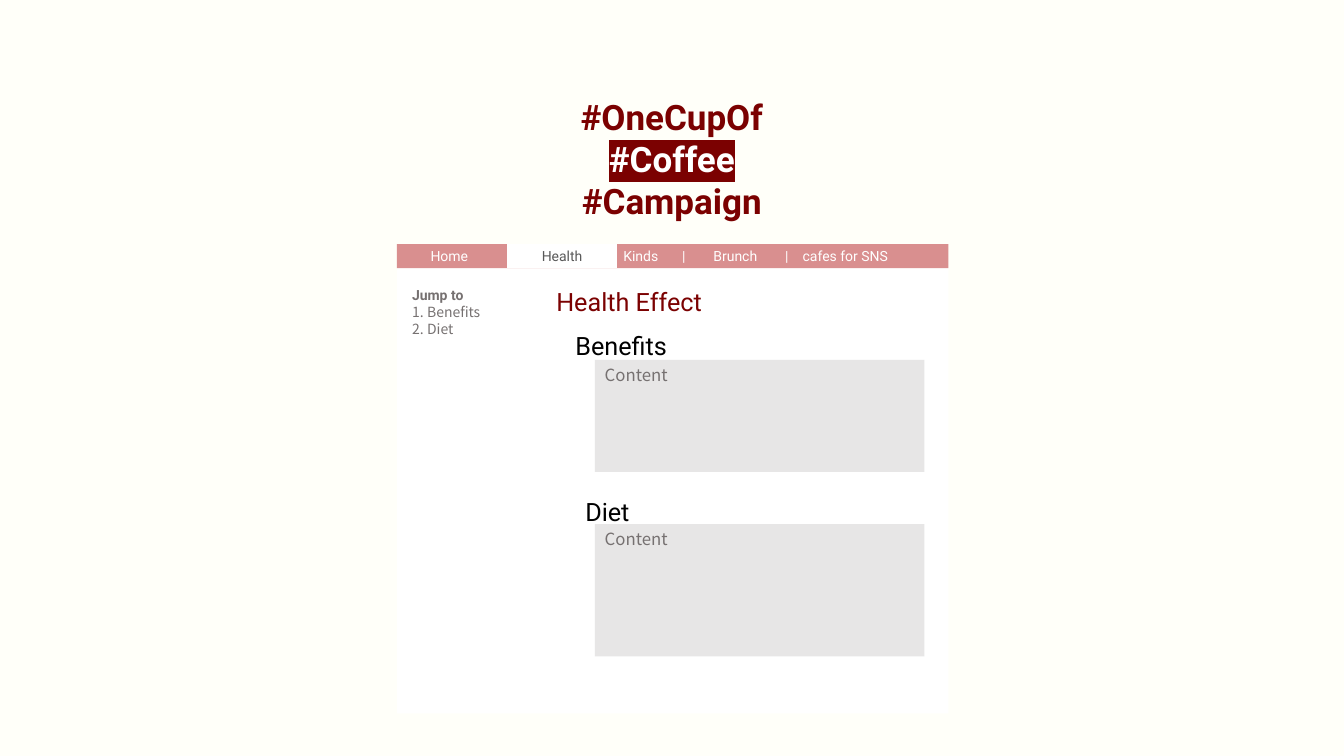
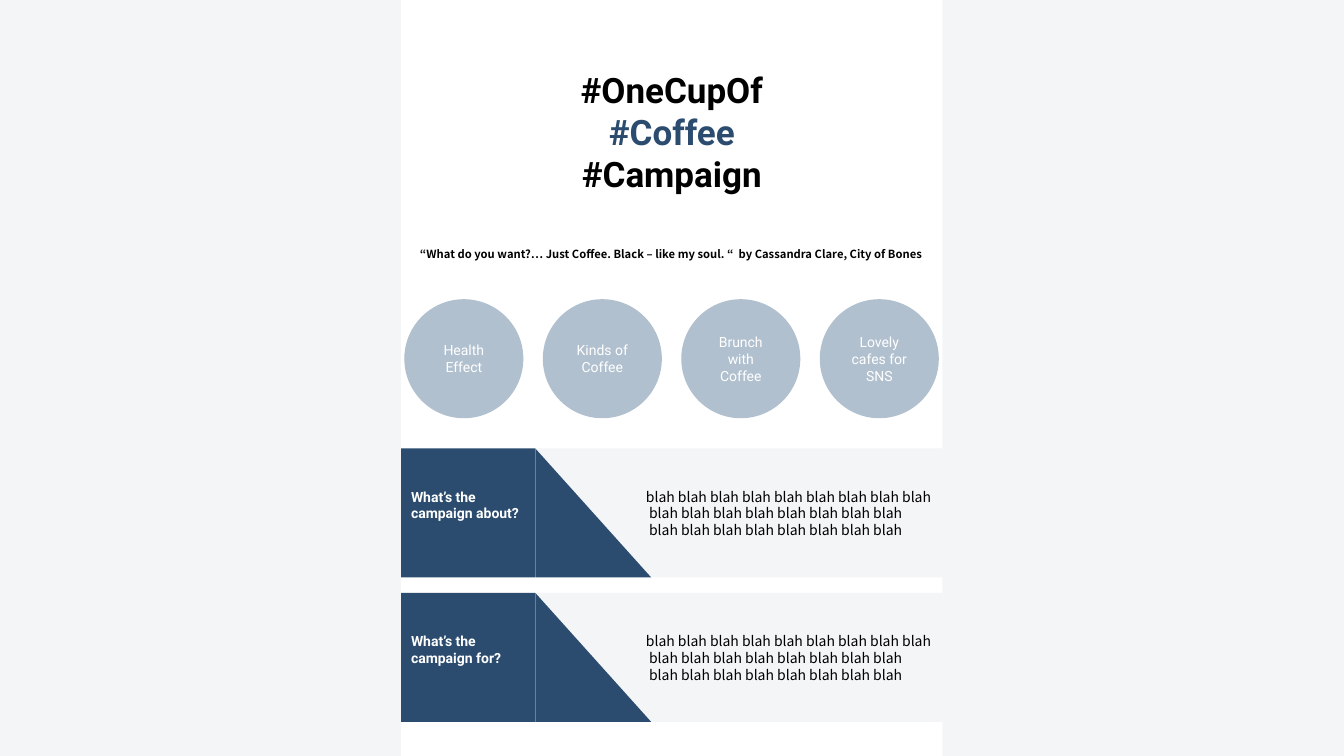
from dataclasses import dataclass
from lxml import etree
from pptx import Presentation
from pptx.dml.color import RGBColor
from pptx.enum import shapes, text
from pptx.oxml.ns import qn
from pptx.util import Cm, Pt


@dataclass(frozen=True)
class Theme:
    cream: str = "FFFFF9"
    white: str = "FFFFFF"
    black: str = "000000"
    wine: str = "7B0101"
    rose: str = "D98F8F"
    ash: str = "E7E6E6"
    grey: str = "767171"
    dark: str = "595959"
    mist: str = "F4F5F6"
    navy: str = "2B4C6F"
    steel: str = "B1C0CF"
    sans: str = "Roboto"
    body: str = "Noto Sans CJK KR"
    big: float = 25
    head: float = 18
    mid: float = 12
    text: float = 10
    tiny: float = 8


T = Theme()
KIND = shapes.MSO_SHAPE
RECT = KIND.RECTANGLE
LEFT, MID = text.PP_ALIGN.LEFT, text.PP_ALIGN.CENTER
TOP, CORE = text.MSO_ANCHOR.TOP, text.MSO_ANCHOR.MIDDLE
rgb = RGBColor.from_string
TITLE = dict(name=T.sans, size=Pt(T.big), bold=True)
HEAD = dict(name=T.sans, size=Pt(T.head), bold=False)
LABEL = dict(name=T.sans, size=Pt(T.text), bold=False)
STRONG = dict(LABEL, bold=True)
PLAIN = dict(name=T.body, size=Pt(T.text), bold=False)
NOTE = dict(PLAIN, size=Pt(T.mid))
QUOTE = dict(PLAIN, size=Pt(T.tiny), bold=True)


def write(shape, words, look, hue, align=LEFT, anchor=TOP, **frame):
    tf = shape.text_frame
    tf.text = words
    base = dict(word_wrap=True, auto_size=text.MSO_AUTO_SIZE.NONE, vertical_anchor=anchor)
    for key, val in (base | frame).items():
        setattr(tf, key, val)
    for par in tf.paragraphs:
        par.alignment = align
        par.space_before = Pt(0)
        for run in par.runs:
            for key, val in look.items():
                setattr(run.font, key, val)
            run.font.color.rgb = rgb(hue)
    return tf.paragraphs


def put(slide, box, fill=None, kind=RECT):
    place = [Cm(n) for n in box]
    if fill is None:
        return slide.shapes.add_textbox(*place)
    shape = slide.shapes.add_shape(kind, *place)
    shape.shadow.inherit = False
    shape.fill.solid()
    shape.fill.fore_color.rgb = rgb(fill)
    shape.line.fill.background()
    return shape


deck = Presentation()
deck.slide_width, deck.slide_height = Cm(33.87), Cm(19.05)

pages = []
for lay, back, panel, top, hue, accent in (
    (1, T.cream, (10, 6.55, 13.9, 11.43), 2.29, T.wine, T.white),
    (5, T.mist, (10.11, 0, 13.64, 19.05), 1.6, T.black, T.navy),
):
    page = deck.slides.add_slide(deck.slide_layouts[lay])
    page.background.fill.solid()
    page.background.fill.fore_color.rgb = rgb(back)
    put(page, panel, T.white)
    title = page.shapes.title
    page.shapes.element.append(title.element)
    for key, val in dict(left=10.39, top=top, width=13.08, height=3.45).items():
        setattr(title, key, Cm(val))
    lines = write(title, "#OneCupOf\n#Coffee\n#Campaign", TITLE, hue, MID)
    lines[1].runs[0].font.color.rgb = rgb(accent)
    pages.append(page)

health, home = pages

mark = etree.Element(qn("a:highlight"))
etree.SubElement(mark, qn("a:srgbClr"), val=T.wine)
health.shapes.title.element.xpath(".//a:rPr/a:solidFill")[1].addnext(mark)

bar = put(health, (10, 6.15, 13.9, 0.61), T.rose)
menu = "\tHome\tKinds\t|\tBrunch\t|\tcafes for SNS"
row = write(bar, menu, LABEL, T.white, anchor=CORE)[0]
tabs = etree.SubElement(row.alignment and bar.element.xpath(".//a:pPr")[0], qn("a:tabLst"))
for stop in (0.6, 5.46, 6.94, 7.73, 9.54, 9.98):
    etree.SubElement(tabs, qn("a:tab"), pos=str(Cm(stop)), algn="l")
tab = put(health, (12.78, 6.15, 2.77, 0.61), T.white)
write(tab, "Health", LABEL, T.dark, MID, CORE)

for words, x, y, hue in (
    ("Health Effect", 13.77, 7.09, T.wine),
    ("Benefits", 14.25, 8.2, T.black),
    ("Diet", 14.5, 12.37, T.black),
):
    write(put(health, (x, y, 4.62, 1.02)), words, HEAD, hue)
for y, tall in ((9.07, 2.82), (13.21, 3.33)):
    write(put(health, (14.99, y, 8.31, tall), T.ash), "Content", NOTE, T.grey)

jump = health.placeholders[1]
health.shapes.element.append(jump.element)
for key, val in dict(left=10.13, top=7.09, width=3.07, height=1.55).items():
    setattr(jump, key, Cm(val))
first = write(jump, "Jump to\nBenefits\nDiet", PLAIN, T.grey)[0]
for key, val in STRONG.items():
    setattr(first.runs[0].font, key, val)
for i, prop in enumerate(jump.element.xpath(".//a:pPr")):
    pad = Cm(0.38) if i else 0
    prop.set("marL", str(pad))
    prop.set("indent", str(-pad))
    if i:
        etree.SubElement(prop, qn("a:buFont"), typeface=T.body)
        etree.SubElement(prop, qn("a:buAutoNum"), type="arabicPeriod")
    else:
        etree.SubElement(prop, qn("a:buNone"))

quote = "“What do you want?… Just Coffee. Black – like my soul. “  by Cassandra Clare, City of Bones"
write(put(home, (10.29, 6.1, 13.26, 0.61)), quote, QUOTE, T.black, MID, word_wrap=False)

topics = "Health Effect", "Kinds of Coffee", "Brunch with Coffee", "Lovely cafes for SNS"
for i, words in enumerate(topics):
    disc = put(home, (10.19 + 3.49 * i, 7.54, 3, 3), T.steel, KIND.OVAL)
    write(disc, words, LABEL, T.white, MID, CORE)

blah = "\n ".join(" ".join(["blah"] * n) for n in (9, 8, 8))
for i, words in enumerate(("What’s the campaign about?", "What’s the campaign for?")):
    y, tall = 11.3 + 3.64 * i, 3.25
    card = put(home, (13.49, y, 10.26, tall), T.mist)
    write(card, blah, PLAIN, T.black, margin_left=Cm(2.79), margin_right=0, margin_top=Cm(1))
    label = put(home, (10.11, y, 3.38, tall), T.navy)
    write(label, words, STRONG, T.white, margin_top=Cm(1))
    wedge = put(home, (13.49, y, 2.92, tall), T.navy, KIND.ISOSCELES_TRIANGLE)
    wedge.adjustments[0] = 0

deck.save("out.pptx")
